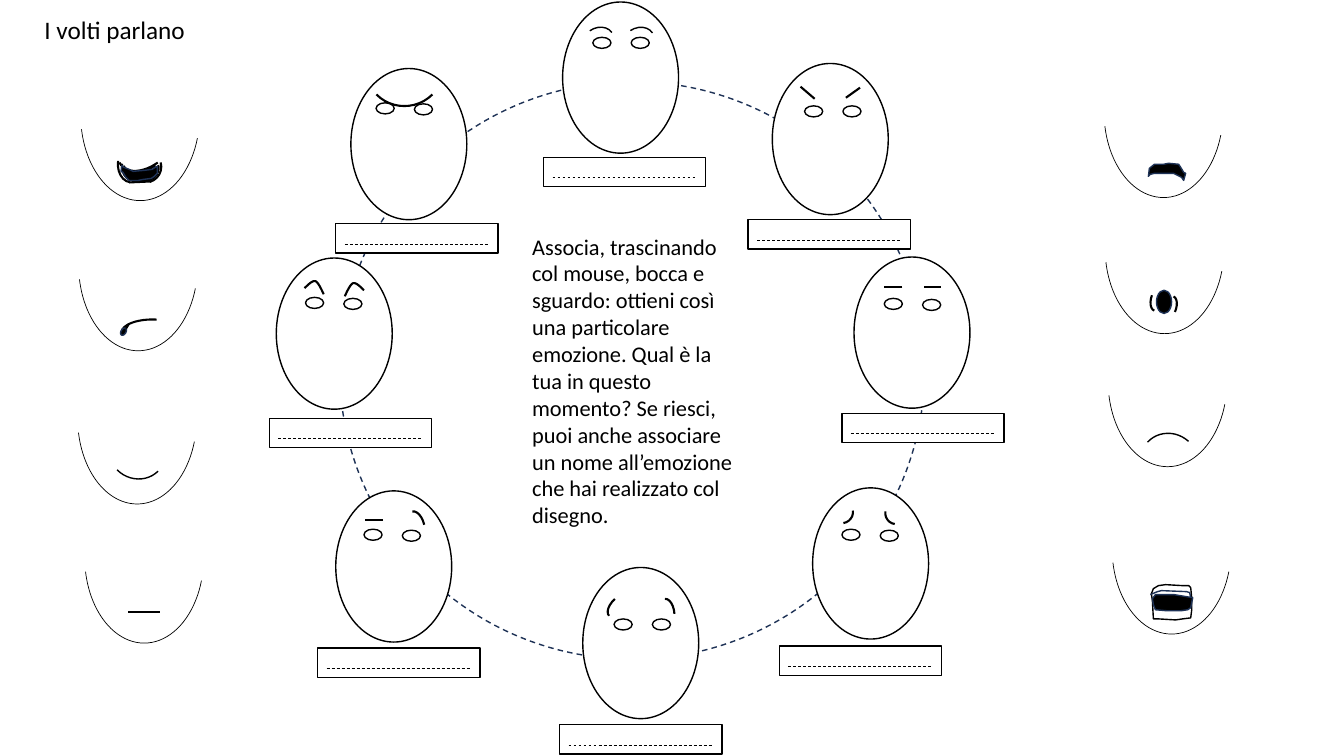
from dataclasses import dataclass
from typing import Optional

from lxml.etree import SubElement
from pptx import Presentation
from pptx.dml.color import RGBColor
from pptx.enum.dml import MSO_LINE
from pptx.enum.shapes import MSO_CONNECTOR, MSO_SHAPE
from pptx.enum.text import MSO_ANCHOR, MSO_AUTO_SIZE, PP_ALIGN
from pptx.oxml.ns import qn
from pptx.util import Inches, Pt

HUES = {"ink": "000000", "navy": "1E3256", "paper": "FFFFFF"}
FONT = "Calibri"
HEAD = (1.15, 1.5)
EYE = (0.18, 0.11)
CHIN = (1.18, 1.7)
TAG = (1.61, 0.29)


@dataclass
class Oval:
    x: float
    y: float
    w: float
    h: float
    fill: Optional[str] = None
    line: str = "ink"
    turn: float = 0
    dash: bool = False


@dataclass
class Arc:
    x: float
    y: float
    w: float
    h: float
    turn: float
    pt: float = 1.5
    ends: tuple = (162, 0)


@dataclass
class Line:
    x: float
    y: float
    to_x: float
    to_y: float
    pt: float = 1.5
    dash: bool = False


@dataclass
class Curve:
    dots: list
    fill: Optional[str] = None
    line: str = "ink"
    pt: float = 1
    shut: bool = True
    bend: bool = False


@dataclass
class Face:
    head: tuple
    eye: tuple
    drop: float
    brows: list
    tag: tuple


@dataclass
class Mouth:
    chin: tuple
    marks: list


def hue(name: str) -> RGBColor:
    return RGBColor.from_string(HUES[name])


def style(shape, fill: Optional[str], line: str, pt: float, dash: bool = False) -> None:
    shape.shadow.inherit = False
    if fill:
        shape.fill.solid()
        shape.fill.fore_color.rgb = hue(fill)
    else:
        shape.fill.background()
    stroke(shape, line, pt, dash)


def stroke(shape, line: str, pt: float, dash: bool) -> None:
    shape.line.color.rgb = hue(line)
    shape.line.width = Pt(pt)
    if dash:
        shape.line.dash_style = MSO_LINE.DASH


def preset(shapes, kind, x: float, y: float, w: float, h: float):
    return shapes.add_shape(kind, Inches(x), Inches(y), Inches(w), Inches(h))


def smooth(dots: list, steps: int = 8) -> list:
    out = [dots[0]]
    for i in range(0, len(dots) - 1, 3):
        for n in range(1, steps + 1):
            t = n / steps
            mix = ((1 - t) ** 3, 3 * t * (1 - t) ** 2, 3 * t * t * (1 - t), t ** 3)
            out.append(tuple(sum(m * p[k] for m, p in zip(mix, dots[i:i + 4])) for k in (0, 1)))
    return out


def draw(shapes, mark) -> None:
    if isinstance(mark, Oval):
        oval = preset(shapes, MSO_SHAPE.OVAL, mark.x, mark.y, mark.w, mark.h)
        oval.rotation = mark.turn
        style(oval, mark.fill, mark.line, 1, mark.dash)
    elif isinstance(mark, Arc):
        arc = preset(shapes, MSO_SHAPE.ARC, mark.x, mark.y, mark.w, mark.h)
        arc.adjustments[0], arc.adjustments[1] = mark.ends
        arc.rotation = mark.turn
        style(arc, None, "ink", mark.pt)
    elif isinstance(mark, Line):
        line = shapes.add_connector(MSO_CONNECTOR.STRAIGHT, Inches(mark.x), Inches(mark.y),
                                    Inches(mark.to_x), Inches(mark.to_y))
        stroke(line, "ink", mark.pt, mark.dash)
        SubElement(line.element.spPr, qn("a:effectLst"))
    else:
        dots = smooth(mark.dots) if mark.bend else mark.dots
        spots = [(Inches(x), Inches(y)) for x, y in dots]
        pen = shapes.build_freeform(*spots[0])
        pen.add_line_segments(spots[1:], close=mark.shut)
        style(pen.convert_to_shape(), mark.fill, mark.line, mark.pt)


def add_face(shapes, face: Face) -> None:
    group = shapes.add_group_shape().shapes
    x, y = face.eye
    eyes = [Oval(x, y, *EYE), Oval(x + 0.38, y + face.drop, *EYE)]
    for mark in [Oval(*face.head, *HEAD, "paper"), *eyes, *face.brows]:
        draw(group, mark)


def add_mouth(shapes, mouth: Mouth) -> None:
    group = shapes.add_group_shape().shapes
    for mark in [*mouth.marks, Arc(*mouth.chin, *CHIN, 180, 0.5, (121.26, 207.78))]:
        draw(group, mark)


def add_tag(shapes, x: float, y: float) -> None:
    group = shapes.add_group_shape().shapes
    style(preset(group, MSO_SHAPE.RECTANGLE, x, y, *TAG), "paper", "ink", 1)
    draw(group, Line(x + 0.09, y + 0.2, x + 1.52, y + 0.2, 0.5, True))


def write(box, text: str, size: int, x: float, y: float, w: float, h: float) -> None:
    box.left, box.top, box.width, box.height = map(Inches, (x, y, w, h))
    frame = box.text_frame
    frame.word_wrap = True
    frame.auto_size = MSO_AUTO_SIZE.SHAPE_TO_FIT_TEXT
    frame.vertical_anchor = MSO_ANCHOR.TOP
    frame.text = text
    para = frame.paragraphs[0]
    para.alignment = PP_ALIGN.LEFT
    para.font.name, para.font.size = FONT, Pt(size)
    para.font.color.rgb = hue("ink")


def brow(dots: list) -> Curve:
    return Curve(dots, pt=1.5, shut=False, bend=True)


FACES = [
    Face((7.66, 0.63), (7.98, 1.05), 0, [Line(7.94, 0.86, 8.08, 0.98), Line(8.39, 0.97, 8.53, 0.87)], (7.42, 2.18)),
    Face((3.48, 0.68), (3.73, 1.02), 0.01, [Arc(3.62, 0.27, 0.79, 0.78, 135.4)], (3.33, 2.22)),
    Face((5.58, 0.02), (5.88, 0.37), 0, [Arc(6.16, 0.28, 0.34, 0.28, 326.7, 1), Arc(5.76, 0.28, 0.34, 0.28, 325, 1)], (5.39, 1.56)),
    Face((2.74, 2.56), (3.03, 2.95), 0.01, [
        brow([(3.02, 2.86), (3.06, 2.82), (3.1, 2.78), (3.13, 2.79), (3.16, 2.8), (3.21, 2.92), (3.21, 2.92)]),
        brow([(3.61, 2.88), (3.57, 2.84), (3.53, 2.8), (3.5, 2.81), (3.47, 2.82), (3.42, 2.94), (3.42, 2.94)])], (2.67, 4.15)),
    Face((8.47, 2.55), (8.77, 2.96), 0.01, [Line(8.95, 2.85, 8.77, 2.85), Line(9.33, 2.85, 9.16, 2.85)], (8.35, 4.1)),
    Face((3.33, 4.87), (3.61, 5.25), 0.01, [Line(3.8, 5.16, 3.62, 5.16), Arc(4.04, 5.07, 0.17, 0.31, 346.9)], (3.15, 6.43)),
    Face((8.06, 4.84), (8.35, 5.25), 0.01, [Arc(8.78, 4.98, 0.22, 0.22, 188.4), Arc(8.24, 4.97, 0.22, 0.22, 82)], (7.73, 6.41)),
    Face((5.78, 5.63), (6.09, 6.14), 0, [Arc(6.07, 5.85, 0.17, 0.31, 227.9), Arc(6.52, 5.94, 0.17, 0.31, 356.5)], (5.55, 7.19)),
]

FROWN = [(11.74, 1.79), (11.72, 1.76), (11.68, 1.74), (11.64, 1.72), (11.53, 1.72), (11.45, 1.72), (11.41, 1.73),
         (11.39, 1.75), (11.4, 1.67), (11.45, 1.63), (11.54, 1.63), (11.59, 1.62), (11.69, 1.63), (11.71, 1.66),
         (11.74, 1.71), (11.76, 1.72)]
GRIN = [(1.21, 1.64), (1.23, 1.66), (1.28, 1.68), (1.32, 1.7), (1.43, 1.69), (1.51, 1.68), (1.54, 1.66), (1.56, 1.65),
        (1.56, 1.72), (1.53, 1.75), (1.5, 1.77), (1.42, 1.78), (1.37, 1.79), (1.28, 1.79), (1.25, 1.76), (1.22, 1.71),
        (1.2, 1.7)]
LIPS = [(11.56, 5.8), (11.73, 5.81), (11.79, 5.81), (11.81, 5.83), (11.82, 5.93), (11.82, 6.05), (11.81, 6.13),
        (11.73, 6.14), (11.66, 6.15), (11.49, 6.14), (11.44, 6.14), (11.43, 5.96), (11.42, 5.89), (11.44, 5.84),
        (11.49, 5.81)]
GAP = [(11.46, 5.9), (11.65, 5.9), (11.83, 5.93), (11.81, 6.03), (11.78, 6.05), (11.71, 6.06), (11.58, 6.06),
       (11.46, 6.05), (11.44, 6), (11.43, 5.94)]
TOP = [(11.41, 5.9), (11.48, 5.87), (11.52, 5.86), (11.77, 5.87), (11.8, 5.88), (11.81, 5.93)]
SKEW = (162, 3.14)

MOUTHS = [
    Mouth((10.96, 1.61), [Oval(11.47, 2.88, 0.15, 0.23, "ink", "navy"), Arc(11.51, 2.93, 0.15, 0.27, 23.9),
                          Arc(11.42, 2.82, 0.15, 0.27, 200.3)]),
    Mouth((10.95, 0.26), [Curve(FROWN, "ink", "navy")]),
    Mouth((10.99, 2.93), [Arc(11.32, 4.29, 0.56, 0.59, 312.3, 1)]),
    Mouth((11.03, 4.59), [Curve(LIPS), Curve(GAP, "ink", "navy"), Curve(TOP, line="navy", shut=False)]),
    Mouth((0.84, 4.68), [Line(1.27, 6.07, 1.59, 6.07)]),
    Mouth((0.77, 3.3), [Arc(1.08, 4.17, 0.56, 0.59, 135.4, 1)]),
    Mouth((0.78, 1.78), [Arc(1.39, 2.98, 0.31, 0.69, 273.3), Oval(1.2, 3.25, 0.05, 0.08, "ink", "navy", 30.5),
                         Line(1.25, 3.26, 1.28, 3.21)]),
    Mouth((0.8, 0.29), [
        Arc(1.29, 1.5, 0.31, 0.31, 74.1), Arc(1.17, 1.42, 0.29, 0.39, 187.5), Line(1.28, 1.81, 1.5, 1.8),
        Arc(1.14, 1.26, 0.62, 0.39, 144.1, ends=SKEW), Arc(1.32, 1.54, 0.24, 0.27, 74.1),
        Arc(1.21, 1.49, 0.24, 0.3, 187.5), Line(1.3, 1.79, 1.49, 1.79),
        Arc(1.19, 1.36, 0.52, 0.31, 144.1, ends=SKEW), Curve(GRIN, "ink", "navy")]),
]
TASK = ("Associa, trascinando col mouse, bocca e sguardo: ottieni così una particolare emozione. Qual è la tua in "
        "questo momento? Se riesci, puoi anche associare un nome all’emozione che hai realizzato col disegno.")


def main() -> None:
    deck = Presentation()
    deck.slide_width, deck.slide_height = Inches(13.33), Inches(7.5)
    shapes = deck.slides.add_slide(deck.slide_layouts[5]).shapes
    write(shapes.title, "I volti parlano", 18, 0.34, 0.09, 2.45, 0.4)
    draw(shapes, Oval(3.37, 0.81, 5.8, 5.73, line="navy", dash=True))
    for face in FACES:
        add_face(shapes, face)
    for mouth in MOUTHS:
        add_mouth(shapes, mouth)
    write(shapes.add_textbox(0, 0, 0, 0), TASK, 16, 5.18, 2.26, 2.23, 3.06)
    for face in FACES:
        add_tag(shapes, *face.tag)
    deck.save("out.pptx")


if __name__ == "__main__":
    main()
